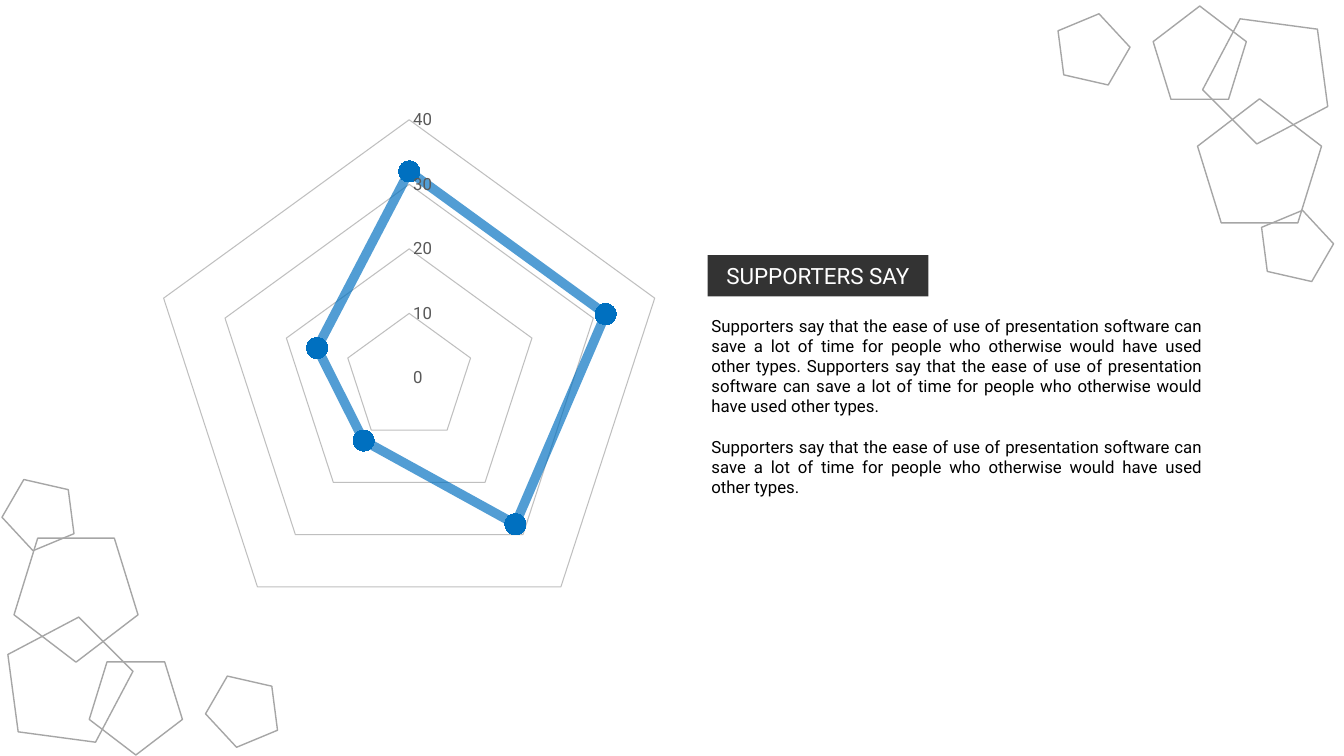
from lxml import etree
from pptx import Presentation
from pptx import util as u
from pptx.chart.data import CategoryChartData
from pptx.dml.color import RGBColor
from pptx.enum import chart as charts, shapes, text
from pptx.oxml.ns import qn

COLORS = {"black": "000000", "white": "FFFFFF", "label": "595959",
          "grid": "BFBFBF", "outline": "A6A6A6", "accent": "0070C0"}
FONT = "Roboto"
SLIDE_SIZE = (960, 540)
# The lower-left cluster is the upper-right one turned half round:
# opposite corners of each pair add up to these sums.
HALF_TURN_SUM = (954, 543.6)
PENTAGONS = [  # left, top, size, rotation
    (865.4, 7.9, 88.6, 45),
    (855.4, 70.6, 88.6, 0),
    (823.7, 4.3, 66.6, 0),
    (752.4, 9.4, 50.4, 300),
    (897.8, 149.8, 50.4, 300),
]
EASE = ("Supporters say that the ease of use of presentation software can save "
        "a lot of time for people who otherwise would have used other types.")


def color(name):
    return RGBColor.from_string(COLORS[name])


def apply(target, **values):
    for key, value in values.items():
        setattr(target, key, value)


def set_opacity(fill_parent, percent):
    """Add an alpha value to the first solid colour below an element."""
    rgb = next(fill_parent.iter(qn("a:srgbClr")))
    etree.SubElement(rgb, qn("a:alpha")).set("val", str(percent * 1000))


class SlideBuilder:
    def __init__(self, presentation):
        self.slide = presentation.slides.add_slide(presentation.slide_layouts[5])

    def style_font(self, font, size, color_name):
        apply(font, name=FONT, size=u.Pt(size), bold=False)
        font.color.rgb = color(color_name)

    def style_line(self, line, color_name, width):
        line.color.rgb = color(color_name)
        line.width = u.Pt(width)

    def heading(self, words, left, top, width, height):
        title = self.slide.shapes.title
        apply(title, left=u.Pt(left), top=u.Pt(top),
              width=u.Pt(width), height=u.Pt(height))
        title.fill.solid()
        title.fill.fore_color.rgb = color("black")
        set_opacity(title.fill._xPr, 80)
        frame = title.text_frame
        apply(frame, text=words, word_wrap=True,
              auto_size=text.MSO_AUTO_SIZE.NONE,
              vertical_anchor=text.MSO_ANCHOR.MIDDLE)
        paragraph = frame.paragraphs[0]
        apply(paragraph, alignment=text.PP_ALIGN.CENTER, line_spacing=1.0,
              space_before=u.Pt(0))
        self.style_font(paragraph.runs[0].font, 16, "white")

    def body(self, passages, left, top, width, height):
        box = self.slide.shapes.add_textbox(*map(u.Pt, (left, top, width, height)))
        frame = box.text_frame
        apply(frame, word_wrap=True, auto_size=text.MSO_AUTO_SIZE.SHAPE_TO_FIT_TEXT)
        for index, passage in enumerate(passages):
            paragraph = frame.add_paragraph() if index else frame.paragraphs[0]
            apply(paragraph, text=passage, alignment=text.PP_ALIGN.JUSTIFY)
            if index:
                paragraph.space_before = u.Pt(14.4)
            self.style_font(paragraph.runs[0].font, 12, "black")

    def pentagon(self, left, top, size, rotation):
        outline = self.slide.shapes.add_shape(
            shapes.MSO_SHAPE.REGULAR_PENTAGON, *map(u.Pt, (left, top, size, size)))
        apply(outline, rotation=rotation)
        outline.shadow.inherit = False
        outline.fill.background()
        self.style_line(outline.line, "outline", 1)

    def radar(self, values, left, top, width, height):
        data = CategoryChartData()
        data.categories = [str(n) for n in range(1, len(values) + 1)]
        data.add_series("Series 1", values)
        chart = self.slide.shapes.add_chart(
            charts.XL_CHART_TYPE.RADAR_MARKERS,
            *map(u.Pt, (left, top, width, height)), data).chart
        apply(chart, has_title=False, has_legend=False)
        self.style_font(chart.font, 10, "black")
        chart.plots[0].vary_by_categories = False
        apply(chart.category_axis, visible=False, has_major_gridlines=False)

        scale = chart.value_axis
        apply(scale, minimum_scale=0, maximum_scale=40, major_unit=10,
              has_major_gridlines=True,
              major_tick_mark=charts.XL_TICK_MARK.NONE,
              minor_tick_mark=charts.XL_TICK_MARK.NONE)
        self.style_font(scale.tick_labels.font, 12, "label")
        self.style_line(scale.major_gridlines.format.line, "grid", 0.75)
        scale.format.line.fill.background()

        support = chart.plots[0].series[0]
        support.smooth = False
        self.style_line(support.format.line, "accent", 6.75)
        set_opacity(support.format.line._ln, 67)
        apply(support.marker, style=charts.XL_MARKER_STYLE.CIRCLE, size=15)
        support.marker.format.fill.solid()
        support.marker.format.fill.fore_color.rgb = color("accent")
        self.style_line(support.marker.format.line, "accent", 0.75)


def main():
    presentation = Presentation()
    presentation.slide_width, presentation.slide_height = map(u.Pt, SLIDE_SIZE)
    builder = SlideBuilder(presentation)
    builder.radar((32, 32, 28, 12, 15), 87.1, 70.6, 410.4, 391.7)
    builder.heading("SUPPORTERS SAY", 505.4, 182.2, 157.7, 29.5)
    builder.body((f"{EASE} {EASE}", EASE), 501.1, 221.8, 365, 138.2)
    for pentagon in PENTAGONS:
        builder.pentagon(*pentagon)
    for left, top, size, rotation in PENTAGONS:
        builder.pentagon(HALF_TURN_SUM[0] - left - size,
                         HALF_TURN_SUM[1] - top - size,
                         size, (rotation + 180) % 360)
    presentation.save("out.pptx")


if __name__ == "__main__":
    main()
